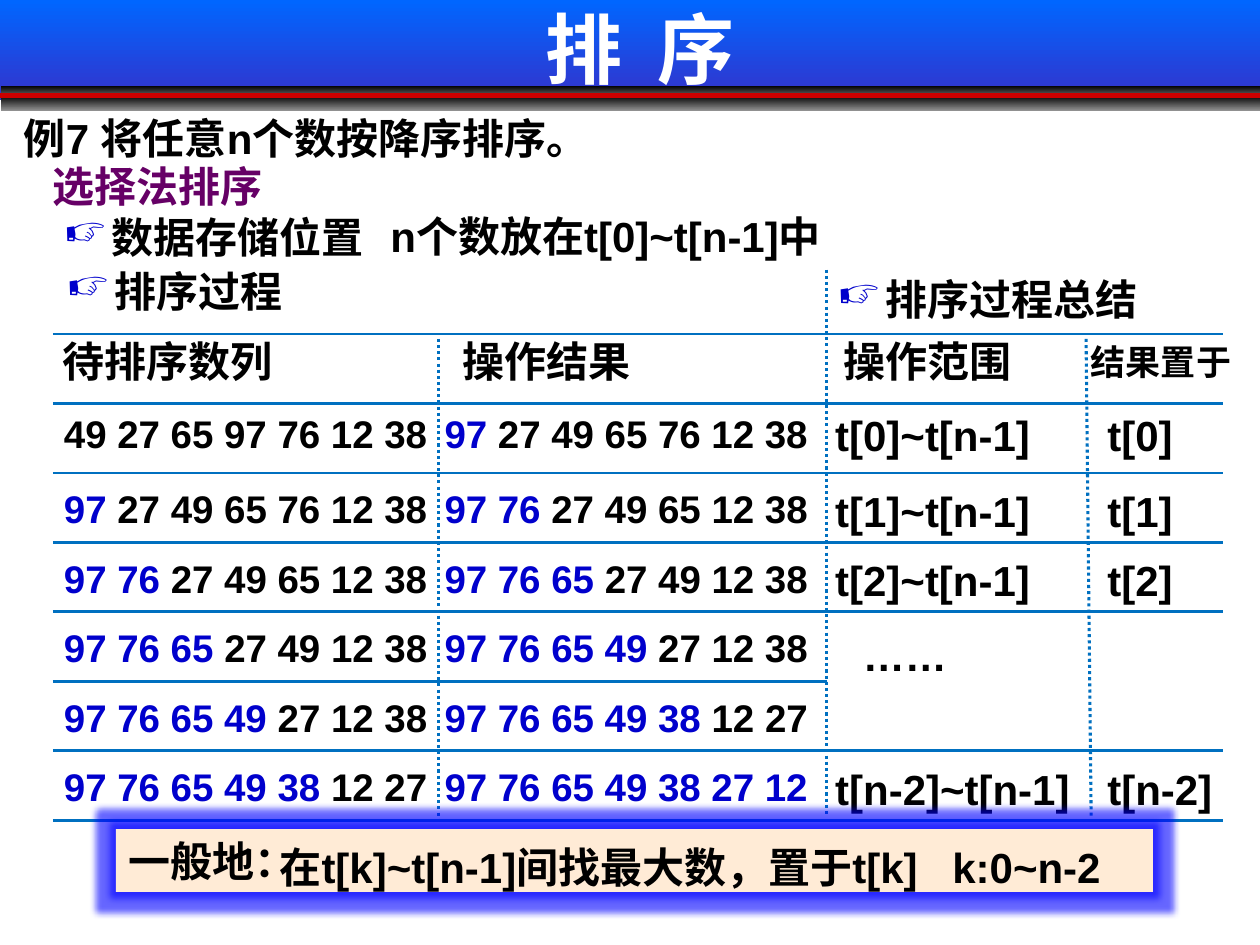
from dataclasses import dataclass

from lxml.etree import SubElement
from pptx import Presentation
from pptx.dml.color import RGBColor
from pptx.enum.dml import MSO_LINE
from pptx.enum.shapes import MSO_CONNECTOR, MSO_SHAPE
from pptx.enum.text import MSO_ANCHOR, PP_ALIGN
from pptx.oxml.ns import qn
from pptx.util import Inches, Pt


@dataclass(frozen=True)
class Theme:
    latin: str = "Arial"
    chinese: str = "Noto Sans CJK SC"
    title_size: int = 44
    body_size: int = 24
    number_size: int = 22
    small_size: int = 20
    ink: str = "000000"
    white: str = "FFFFFF"
    method: str = "660066"
    sorted_part: str = "0000CC"
    rule: str = "0070C0"
    red: str = "CC0000"
    summary_fill: str = "FFEBD6"
    glow: str = "0000FF"
    banner: tuple = ("0066FF", "3333CC")
    bar: tuple = ("000000", "929292")


class SlideBuilder:
    def __init__(self, slide, theme):
        self.slide = slide
        self.theme = theme

    def run(self, paragraph, words, size=None, color=None, font=None):
        run = paragraph.add_run()
        run.text = words
        run.font.size = Pt(size or self.theme.body_size)
        run.font.bold = True
        run.font.color.rgb = RGBColor.from_string(color or self.theme.ink)
        run.font.name = font or self.theme.latin
        east_asian = SubElement(run.font._element, qn("a:ea"))
        east_asian.set("typeface", self.theme.chinese)

    def title(self, words, left, top, width, height):
        title = self.slide.shapes.title
        title.left, title.top = Inches(left), Inches(top)
        title.width, title.height = Inches(width), Inches(height)
        title.text_frame.vertical_anchor = MSO_ANCHOR.MIDDLE
        paragraph = title.text_frame.paragraphs[0]
        paragraph.alignment = PP_ALIGN.CENTER
        self.run(paragraph, words, self.theme.title_size, self.theme.white)
        # The banner is drawn first, so the title moves to the front.
        title.element.getparent().append(title.element)

    def text(self, words, left, top, width, height=0.5, align=PP_ALIGN.LEFT,
             spacing=None, **style):
        """Add a text box; words is a string or a list of (words, color)."""
        box = self.slide.shapes.add_textbox(
            Inches(left), Inches(top), Inches(width), Inches(height))
        box.text_frame.word_wrap = True
        paragraph = box.text_frame.paragraphs[0]
        paragraph.alignment = align
        if spacing:
            paragraph.line_spacing = spacing
        parts = [(words, style.pop("color", None))] if isinstance(words, str) else words
        for part, color in parts:
            self.run(paragraph, part, color=color, **style)
        return paragraph

    def bullet(self, words, left, top, width):
        paragraph = self.text(words, left, top, width, align=PP_ALIGN.JUSTIFY,
                              font=self.theme.chinese)
        properties = paragraph._p.get_or_add_pPr()
        properties.set("marL", str(Inches(0.38)))
        properties.set("indent", str(-Inches(0.38)))
        color = SubElement(properties, qn("a:buClr"))
        SubElement(color, qn("a:srgbClr")).set("val", self.theme.sorted_part)
        SubElement(properties, qn("a:buChar")).set("char", "☞")

    def rectangle(self, left, top, width, height):
        shape = self.slide.shapes.add_shape(
            MSO_SHAPE.RECTANGLE, Inches(left), Inches(top), Inches(width), Inches(height))
        shape.shadow.inherit = False
        shape.line.fill.background()
        return shape

    def gradient_bar(self, colors, left, top, width, height):
        fill = self.rectangle(left, top, width, height).fill
        fill.gradient()
        fill.gradient_angle = 270
        for stop, position, color in zip(fill.gradient_stops, (0, 1), colors):
            stop.position = position
            stop.color.rgb = RGBColor.from_string(color)

    def glowing_box(self, words, left, top, width, height):
        box = self.rectangle(left, top, width, height)
        box.fill.solid()
        box.fill.fore_color.rgb = RGBColor.from_string(self.theme.summary_fill)
        effects = box.element.spPr.find(qn("a:effectLst"))
        glow = SubElement(effects, qn("a:glow"), rad=str(Pt(8)))
        color = SubElement(glow, qn("a:srgbClr"), val=self.theme.glow)
        SubElement(color, qn("a:alpha"), val="60000")
        box.text_frame.vertical_anchor = MSO_ANCHOR.TOP
        paragraph = box.text_frame.paragraphs[0]
        paragraph.alignment = PP_ALIGN.JUSTIFY
        self.run(paragraph, words, font=self.theme.chinese)

    def line(self, x1, y1, x2, y2, color=None, width=1.5, dotted=False):
        line = self.slide.shapes.add_connector(
            MSO_CONNECTOR.STRAIGHT, Inches(x1), Inches(y1), Inches(x2), Inches(y2))
        line.line.color.rgb = RGBColor.from_string(color or self.theme.rule)
        line.line.width = Pt(width)
        if dotted:
            line.line.dash_style = MSO_LINE.ROUND_DOT
        SubElement(line.element.spPr, qn("a:effectLst"))


ROWS = 7
GRID_LEFT, GRID_RIGHT = 0.42, 9.71
GRID_TOP, GRID_BOTTOM = 2.65, 6.51
SUMMARY_LEFT = 6.56
BEFORE_LEFT, AFTER_LEFT, RANGE_LEFT, TARGET_LEFT = 0.41, 3.43, 6.53, 8.69
PASSES = [
    "49 27 65 97 76 12 38",
    "97 27 49 65 76 12 38",
    "97 76 27 49 65 12 38",
    "97 76 65 27 49 12 38",
    "97 76 65 49 27 12 38",
    "97 76 65 49 38 12 27",
    "97 76 65 49 38 27 12",
]
RANGES = {0: ("t[0]~t[n-1]", "t[0]"), 1: ("t[1]~t[n-1]", "t[1]"),
          2: ("t[2]~t[n-1]", "t[2]"), 5: ("t[n-2]~t[n-1]", "t[n-2]")}


def rule_y(index):
    return GRID_TOP + index * (GRID_BOTTOM - GRID_TOP) / ROWS


def colored_pass(index, theme):
    """Split a pass into its sorted head and the rest, each with its color."""
    numbers = PASSES[index]
    if index == len(PASSES) - 1:
        return [(numbers, theme.sorted_part)]
    head, rest = numbers[:index * 3], numbers[index * 3:]
    return [(part, color) for part, color in
            ((head, theme.sorted_part), (rest, theme.ink)) if part]


def add_banner(builder, theme):
    builder.gradient_bar(theme.banner, 0, 0, 10, 0.79)
    for top in (0.68, 0.76):
        builder.gradient_bar(theme.bar, 0.01, top, 9.99, 0.12)
    builder.line(0, 0.76, 10, 0.76, theme.red, 3)
    builder.title("排  序", 0.83, -0.25, 8.5, 1.25)


def add_introduction(builder, theme):
    builder.text("例7 将任意n个数按降序排序。", 0.09, 0.84, 4.75)
    builder.text("选择法排序", 0.32, 1.27, 3.42, 0.47, spacing=0.9, color=theme.method)
    builder.bullet("数据存储位置", 0.41, 1.63, 2.86)
    builder.text("n个数放在t[0]~t[n-1]中", 3, 1.62, 5.28, align=PP_ALIGN.JUSTIFY)
    builder.bullet("排序过程", 0.43, 2.06, 2.86)
    builder.bullet("排序过程总结", 6.55, 2.12, 2.86)


def add_sorting_grid(builder, theme):
    for index in range(ROWS + 1):
        right = SUMMARY_LEFT if index == 5 else GRID_RIGHT
        builder.line(GRID_LEFT, rule_y(index), right, rule_y(index))
    for x1, y1, x2, y2 in ((3.48, 2.69, 3.48, 6.51),
                           (SUMMARY_LEFT, 2.14, SUMMARY_LEFT, 6.48),
                           (8.62, 2.69, 8.66, 6.48)):
        builder.line(x1, y1, x2, y2, width=1.75, dotted=True)

    for heading, left, width in (("待排序数列", 0.36, 1.94), ("操作结果", 3.37, 1.94),
                                 ("操作范围", 6.48, 1.76)):
        builder.text(heading, left, 2.61, width, align=PP_ALIGN.CENTER, font=theme.chinese)
    builder.text("结果置于", 8.53, 2.65, 1.37, 0.44, align=PP_ALIGN.CENTER,
                 font=theme.chinese, size=theme.small_size)

    for row in range(len(PASSES) - 1):
        top = rule_y(row + 1) + (0.05 if row else 0)
        for left, index in ((BEFORE_LEFT, row), (AFTER_LEFT, row + 1)):
            builder.text(colored_pass(index, theme), left, top, 3.76, 0.47,
                         size=theme.number_size)
        if row in RANGES:
            scope, target = RANGES[row]
            builder.text(scope, RANGE_LEFT, top, 2.38)
            builder.text(target, TARGET_LEFT, top, 1.34)
    builder.text("……", 6.75, 4.99, 1.35, 0.46, spacing=0.9)


def add_conclusion(builder):
    builder.glowing_box("一般地：", 0.92, 6.58, 8.23, 0.5)
    builder.text("在t[k]~t[n-1]间找最大数，置于t[k]", 2.12, 6.63, 5.55, align=PP_ALIGN.JUSTIFY)
    builder.text("k:0~n-2", 7.46, 6.63, 1.95, align=PP_ALIGN.JUSTIFY)


def main():
    theme = Theme()
    presentation = Presentation()
    presentation.slide_width, presentation.slide_height = Inches(10), Inches(7.5)
    slide = presentation.slides.add_slide(presentation.slide_layouts[5])
    builder = SlideBuilder(slide, theme)
    add_banner(builder, theme)
    add_introduction(builder, theme)
    add_sorting_grid(builder, theme)
    add_conclusion(builder)
    presentation.save("out.pptx")


if __name__ == "__main__":
    main()
